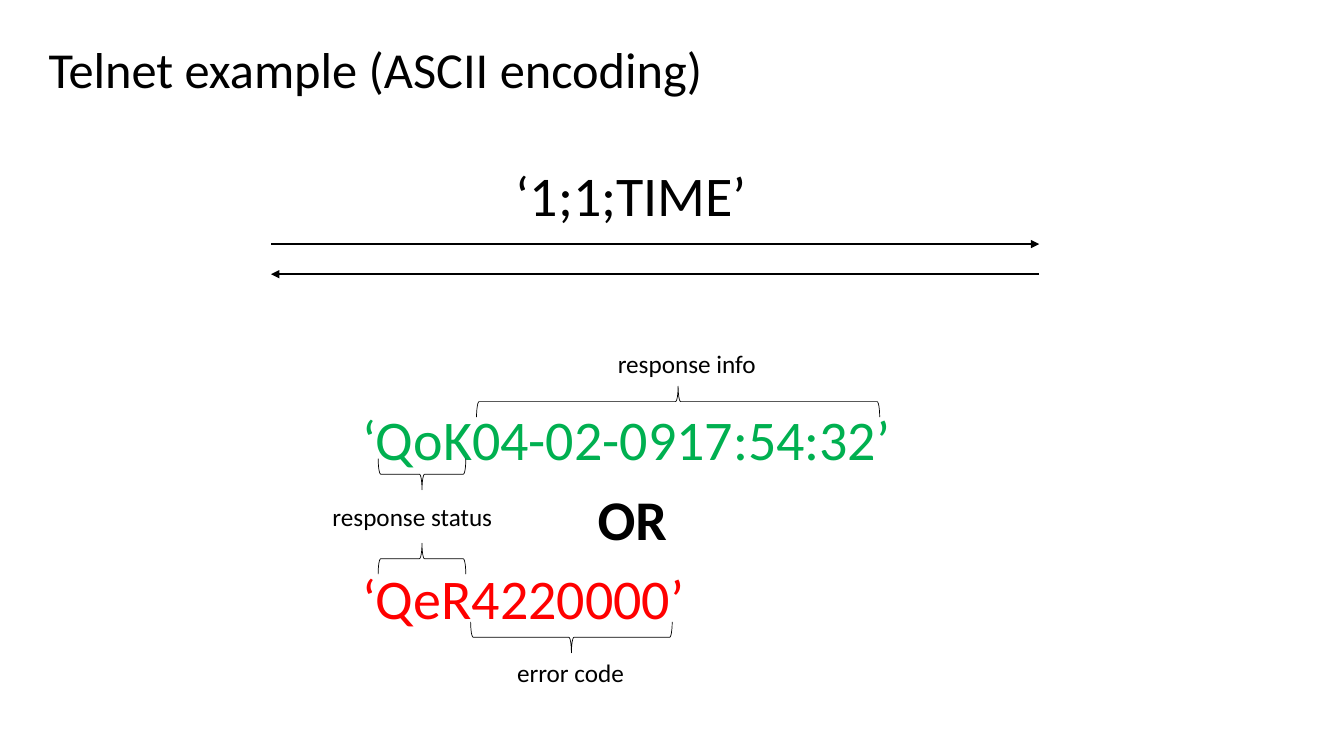
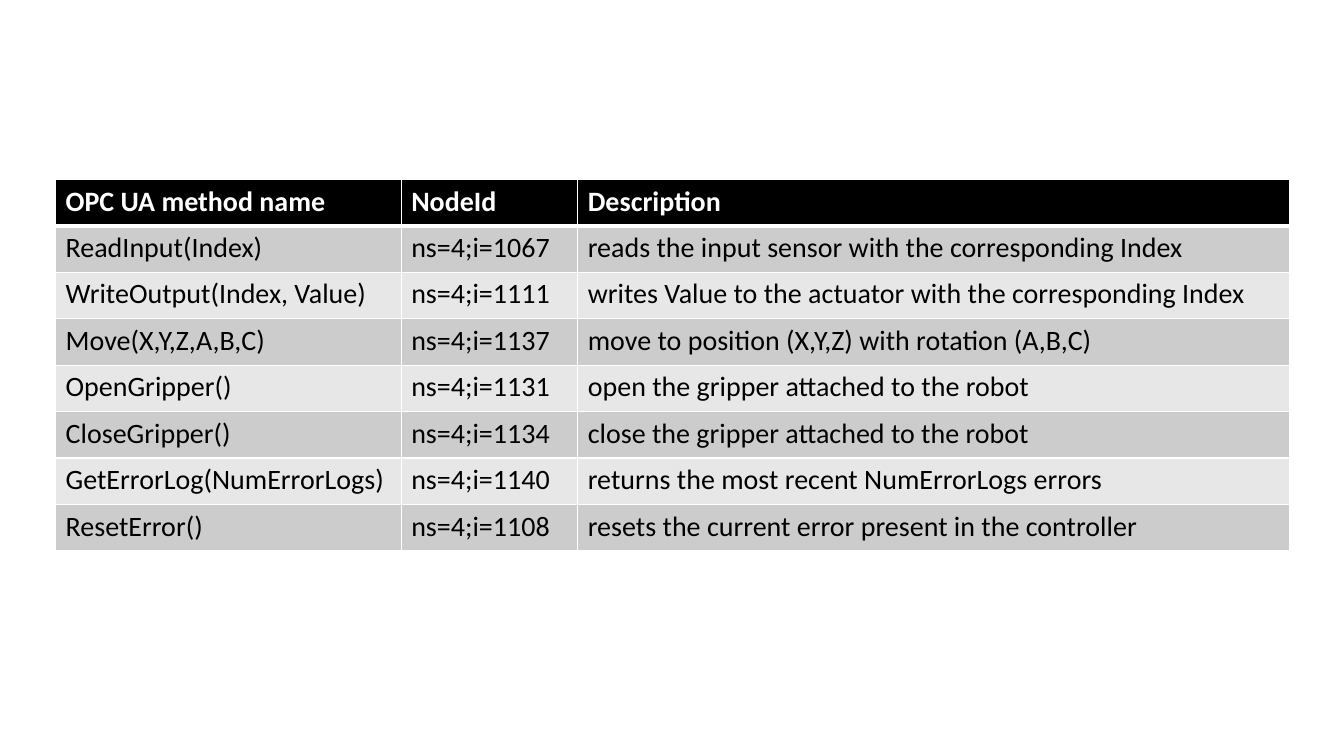
from lxml.etree import SubElement
from pptx import Presentation
from pptx.dml.color import RGBColor
from pptx.enum.shapes import MSO_CONNECTOR, MSO_SHAPE
from pptx.enum.text import MSO_ANCHOR, PP_ALIGN
from pptx.oxml.ns import qn
from pptx.util import Cm, Pt

# Shared style
FONT = "Calibri"
BLACK = RGBColor(0x00, 0x00, 0x00)
WHITE = RGBColor(0xFF, 0xFF, 0xFF)
GREEN = RGBColor(0x00, 0xB0, 0x50)
RED = RGBColor(0xFF, 0x00, 0x00)
DARK_BAND = RGBColor(0xCC, 0xCC, 0xCC)
LIGHT_BAND = RGBColor(0xE7, 0xE7, 0xE7)
TITLE_ONLY, BLANK = 5, 6
MESSAGE_SIZE, LABEL_SIZE = 40, 18

# Brace rotations: where the tip points
TIP_UP, TIP_DOWN = 270, 90

# Content
METHODS = [
    ("OPC UA method name", "NodeId", "Description"),
    ("ReadInput(Index)", "ns=4;i=1067", "reads the input sensor with the corresponding Index"),
    ("WriteOutput(Index, Value)", "ns=4;i=1111",
     "writes Value to the actuator with the corresponding Index"),
    ("Move(X,Y,Z,A,B,C)", "ns=4;i=1137", "move to position (X,Y,Z) with rotation (A,B,C)"),
    ("OpenGripper()", "ns=4;i=1131", "open the gripper attached to the robot"),
    ("CloseGripper()", "ns=4;i=1134", "close the gripper attached to the robot"),
    ("GetErrorLog(NumErrorLogs)", "ns=4;i=1140", "returns the most recent NumErrorLogs errors"),
    ("ResetError()", "ns=4;i=1108", "resets the current error present in the controller"),
]
COLUMN_WIDTHS = (8.71, 4.45, 17.93)
ROW_HEIGHT = 1.17


def write(frame, text, size, color=BLACK, bold=False):
    frame.text = text
    paragraph = frame.paragraphs[0]
    paragraph.alignment = PP_ALIGN.LEFT
    for run in paragraph.runs:
        run.font.name = FONT
        run.font.size = Pt(size)
        run.font.bold = bold
        run.font.color.rgb = color


def add_title(slide, text):
    title = slide.shapes.title
    title.left, title.top, title.width, title.height = Cm(0.97), Cm(0.84), Cm(17.6), Cm(1.8)
    title.text_frame.vertical_anchor = MSO_ANCHOR.TOP
    write(title.text_frame, text, 36)


def add_label(slide, text, left, top, width, size=LABEL_SIZE, color=BLACK, bold=False):
    height = 1.96 if size == MESSAGE_SIZE else 1.02
    label = slide.shapes.add_textbox(Cm(left), Cm(top), Cm(width), Cm(height))
    label.text_frame.word_wrap = True
    write(label.text_frame, text, size, color, bold)


def add_arrow(slide, start, end, y):
    arrow = slide.shapes.add_connector(MSO_CONNECTOR.STRAIGHT, Cm(start), Cm(y), Cm(end), Cm(y))
    arrow.line.color.rgb = BLACK
    arrow.line.width = Pt(1.5)
    SubElement(arrow.line._get_or_add_ln(), qn("a:tailEnd"), type="triangle")
    SubElement(arrow._element.spPr, qn("a:effectLst"))


def add_brace(slide, left, top, span, tip):
    """Place a horizontal brace by the box it covers after rotation."""
    depth = 0.78
    offset = (span - depth) / 2
    brace = slide.shapes.add_shape(
        MSO_SHAPE.RIGHT_BRACE, Cm(left + offset), Cm(top - offset), Cm(depth), Cm(span))
    brace.rotation = tip
    brace.shadow.inherit = False
    brace.fill.background()
    brace.line.color.rgb = BLACK
    brace.line.width = Pt(0.5)


def set_borders(cell, bottom_width):
    properties = cell._tc.get_or_add_tcPr()
    for side, width in (("L", 1), ("R", 1), ("T", 1), ("B", bottom_width)):
        border = SubElement(properties, qn(f"a:ln{side}"), w=str(Pt(width)))
        fill = SubElement(border, qn("a:solidFill"))
        SubElement(fill, qn("a:srgbClr"), val=str(WHITE))


def add_method_table(slide, rows):
    table = slide.shapes.add_table(
        len(rows), len(COLUMN_WIDTHS), Cm(1.4), Cm(4.52),
        Cm(sum(COLUMN_WIDTHS)), Cm(ROW_HEIGHT * len(rows))).table
    table.horz_banding = False
    for column, width in zip(table.columns, COLUMN_WIDTHS):
        column.width = Cm(width)
    for index, texts in enumerate(rows):
        header = index == 0
        band = BLACK if header else DARK_BAND if index % 2 else LIGHT_BAND
        for cell, text in zip(table.rows[index].cells, texts):
            set_borders(cell, 3 if header else 1)
            cell.fill.solid()
            cell.fill.fore_color.rgb = band
            write(cell.text_frame, text, 20, WHITE if header else BLACK, header)


def build_telnet_slide(deck):
    slide = deck.slides.add_slide(deck.slide_layouts[TITLE_ONLY])
    add_title(slide, "Telnet example (ASCII encoding)")

    # Request and reply
    add_label(slide, "‘1;1;TIME’", 12.75, 3.91, 6.35, MESSAGE_SIZE)
    add_arrow(slide, 6.83, 26.19, 6.15)
    add_arrow(slide, 26.19, 6.83, 6.91)

    # Possible responses
    add_label(slide, "‘QoK04-02-0917:54:32’", 8.89, 10.08, 14.15, MESSAGE_SIZE, GREEN)
    add_label(slide, "OR", 14.81, 12.09, 3.76, MESSAGE_SIZE, bold=True)
    add_label(slide, "‘QeR4220000’", 8.89, 14.07, 14.15, MESSAGE_SIZE, RED)

    # Parts of the responses
    add_brace(slide, 12.01, 9.73, 10.16, TIP_UP)
    add_label(slide, "response info", 15.32, 8.66, 4.52)
    add_brace(slide, 9.53, 11.56, 2.21, TIP_DOWN)
    add_label(slide, "response status", 8.13, 12.5, 4.93)
    add_brace(slide, 9.53, 13.69, 2.21, TIP_UP)
    add_brace(slide, 11.86, 15.67, 5.08, TIP_DOWN)
    add_label(slide, "error code", 12.78, 16.43, 4.52)


def build_methods_slide(deck):
    slide = deck.slides.add_slide(deck.slide_layouts[BLANK])
    add_method_table(slide, METHODS)


def main():
    deck = Presentation()
    deck.slide_width, deck.slide_height = Cm(33.87), Cm(19.05)
    build_telnet_slide(deck)
    build_methods_slide(deck)
    deck.save("out.pptx")


if __name__ == "__main__":
    main()
